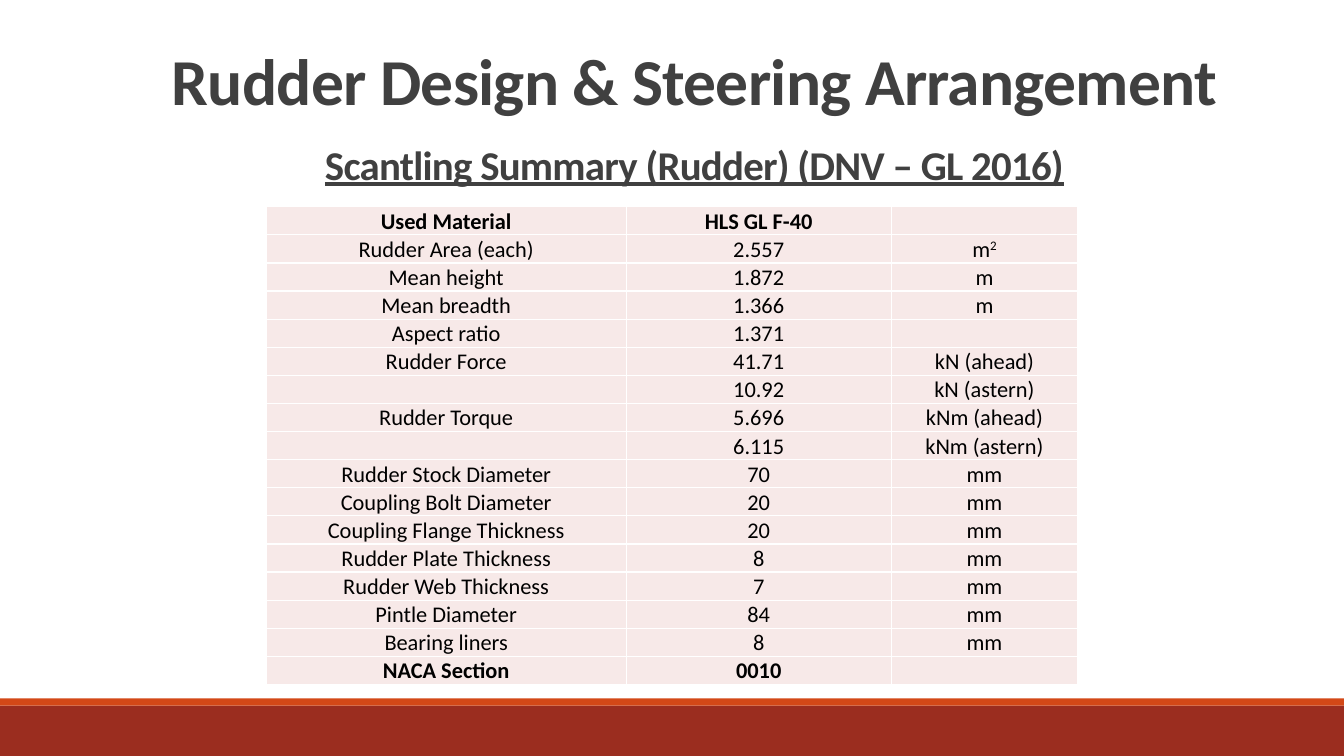
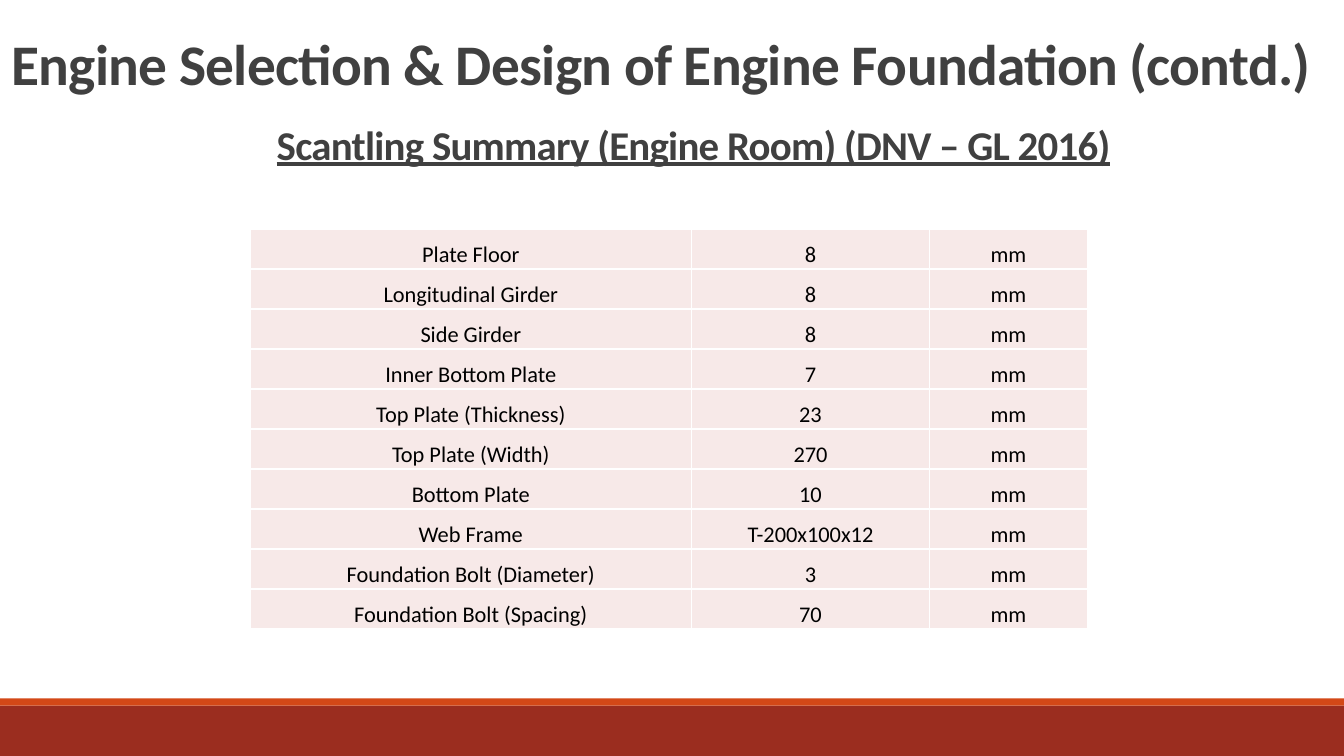
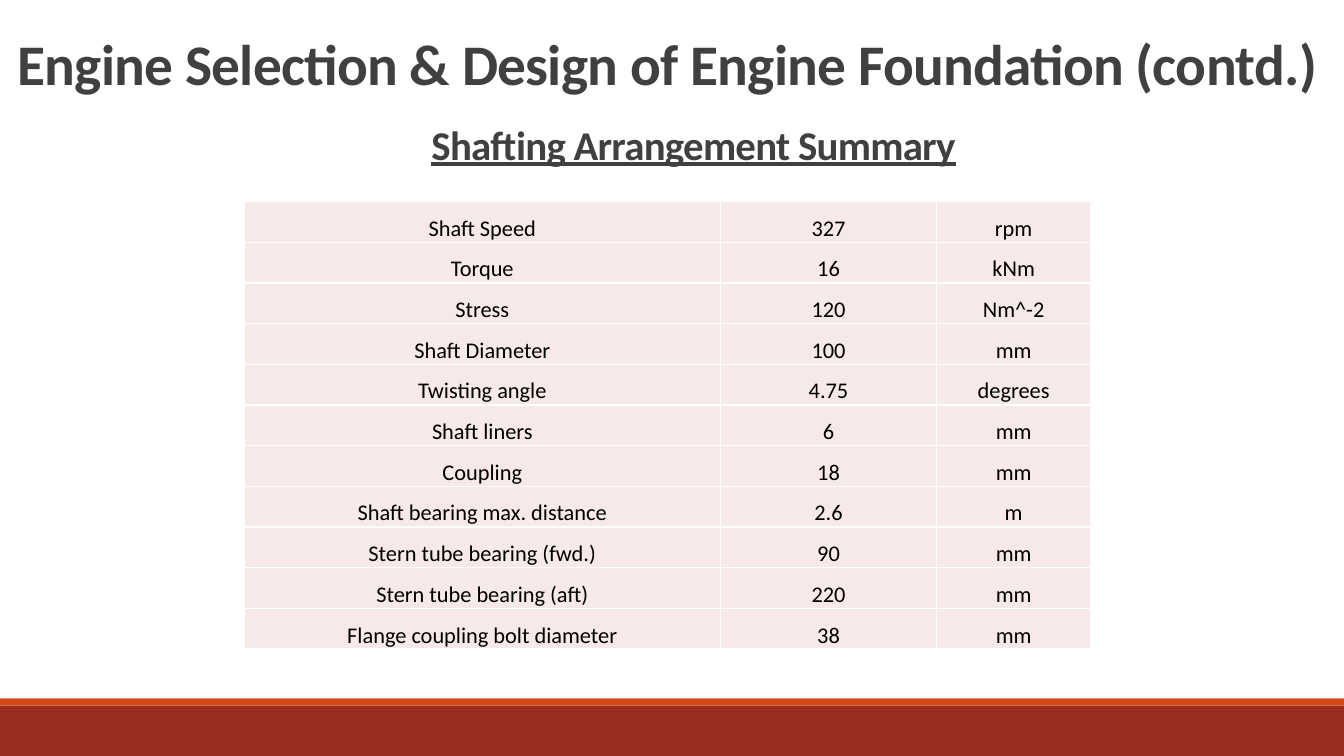
from lxml import etree
from pptx import Presentation
from pptx.dml.color import RGBColor
from pptx.enum.shapes import MSO_SHAPE
from pptx.enum.text import MSO_ANCHOR, PP_ALIGN
from pptx.oxml.ns import qn
from pptx.util import Cm, Pt

RECTANGLE = MSO_SHAPE.RECTANGLE
CENTER = PP_ALIGN.CENTER
BOTTOM = MSO_ANCHOR.BOTTOM

FONT = "Calibri"
COLORS = {
    "band": "9B2D1F",
    "stripe": "D34817",
    "heading": "404040",
    "cell": "F7E9E8",
    "cell_text": "000000",
    "border": "FFFFFF",
}
SLIDE_WIDTH, SLIDE_HEIGHT = 33.87, 19.05
BANDS = [("band", 17.78, 1.27), ("stripe", 17.6, 0.18)]  # colour, top, height
HEADING_HEIGHT = 4.04
CELL_SIZE = 16

ENGINE_TITLE = "Engine Selection & Design of Engine Foundation (contd.)"

# Headings: text, left, top, width, size. Tables: left, top, height, columns.
SLIDES = [
    {
        "title": ("Rudder Design & Steering Arrangement", 3.53, 1.19, 27.94, 46.8),
        "subtitle": ("Scantling Summary (Rudder) (DNV – GL 2016)", 3.53, 3.58, 27.94, 29.2),
        "table": (6.71, 5.21, 12.03, (9.07, 6.68, 4.7)),
        "bold_labels": ("Used Material", "NACA Section"),
        "rows": [
            ("Used Material", "HLS GL F-40", ""),
            ("Rudder Area (each)", "2.557", ("m", "2")),
            ("Mean height", "1.872", "m"),
            ("Mean breadth", "1.366", "m"),
            ("Aspect ratio", "1.371", ""),
            ("Rudder Force", "41.71", "kN (ahead)"),
            ("", "10.92", "kN (astern)"),
            ("Rudder Torque", "5.696", "kNm (ahead)"),
            ("", "6.115", "kNm (astern)"),
            ("Rudder Stock Diameter", "70", "mm"),
            ("Coupling Bolt Diameter", "20", "mm"),
            ("Coupling Flange Thickness", "20", "mm"),
            ("Rudder Plate Thickness", "8", "mm"),
            ("Rudder Web Thickness", "7", "mm"),
            ("Pintle Diameter", "84", "mm"),
            ("Bearing liners", "8", "mm"),
            ("NACA Section", "0010", ""),
        ],
    },
    {
        "title": (ENGINE_TITLE, 0, 0.86, 33.32, 41),
        "subtitle": ("Scantling Summary (Engine Room) (DNV – GL 2016)", 3.51, 3.07, 27.94, 29.2),
        "table": (6.3, 5.77, 10.08, (11.13, 5.99, 3.99)),
        "bold_labels": (),
        "rows": [
            ("Plate Floor", "8", "mm"),
            ("Longitudinal Girder", "8", "mm"),
            ("Side Girder", "8", "mm"),
            ("Inner Bottom Plate", "7", "mm"),
            ("Top Plate (Thickness)", "23", "mm"),
            ("Top Plate (Width)", "270", "mm"),
            ("Bottom Plate", "10", "mm"),
            ("Web Frame", "T-200x100x12", "mm"),
            ("Foundation Bolt (Diameter)", "3", "mm"),
            ("Foundation Bolt (Spacing)", "70", "mm"),
        ],
    },
    {
        "title": (ENGINE_TITLE, 0, 0.86, 33.63, 41),
        "subtitle": ("Shafting Arrangement Summary", 3.51, 3.07, 27.94, 29.2),
        "table": (6.15, 5.08, 11.28, (12.01, 5.44, 3.89)),
        "bold_labels": (),
        "rows": [
            ("Shaft Speed", "327", "rpm"),
            ("Torque", "16", "kNm"),
            ("Stress", "120", "Nm^-2"),
            ("Shaft Diameter", "100", "mm"),
            ("Twisting angle", "4.75", "degrees"),
            ("Shaft liners", "6", "mm"),
            ("Coupling", "18", "mm"),
            ("Shaft bearing max. distance", "2.6", "m"),
            ("Stern tube bearing (fwd.)", "90", "mm"),
            ("Stern tube bearing (aft)", "220", "mm"),
            ("Flange coupling bolt diameter", "38", "mm"),
        ],
    },
]


def add_run(paragraph, text, size, color, bold):
    run = paragraph.add_run()
    run.text = text
    run.font.name = FONT
    run.font.size = Pt(size)
    run.font.bold = bold
    run.font.color.rgb = RGBColor.from_string(COLORS[color])
    return run


def fill_cell(cell, content, bold):
    """Style one cell; content is a text or a (text, superscript) pair."""
    cell.margin_left = cell.margin_right = cell.margin_top = Cm(0.03)
    cell.margin_bottom = 0
    cell.vertical_anchor = BOTTOM
    properties = cell._tc.get_or_add_tcPr()
    for side in ("a:lnL", "a:lnR", "a:lnT", "a:lnB"):
        line = etree.SubElement(properties, qn(side), w=str(Pt(1)))
        line_fill = etree.SubElement(line, qn("a:solidFill"))
        etree.SubElement(line_fill, qn("a:srgbClr"), val=COLORS["border"])
    cell.fill.solid()
    cell.fill.fore_color.rgb = RGBColor.from_string(COLORS["cell"])

    paragraph = cell.text_frame.paragraphs[0]
    paragraph.alignment = CENTER
    text, superscript = content if isinstance(content, tuple) else (content, "")
    if text:
        add_run(paragraph, text, CELL_SIZE, "cell_text", bold)
    else:
        # Keeps an empty cell from stretching its row.
        etree.SubElement(paragraph._p, qn("a:endParaRPr"), sz=str(CELL_SIZE * 100))
    if superscript:
        run = add_run(paragraph, superscript, CELL_SIZE, "cell_text", bold)
        run._r.get_or_add_rPr().set("baseline", "30000")


presentation = Presentation()
presentation.slide_width = Cm(SLIDE_WIDTH)
presentation.slide_height = Cm(SLIDE_HEIGHT)
blank_layout = presentation.slide_layouts[6]

for content in SLIDES:
    slide = presentation.slides.add_slide(blank_layout)

    for color, top, height in BANDS:
        band = slide.shapes.add_shape(RECTANGLE, 0, Cm(top), Cm(SLIDE_WIDTH), Cm(height))
        band.shadow.inherit = False
        band.fill.solid()
        band.fill.fore_color.rgb = RGBColor.from_string(COLORS[color])
        band.line.fill.background()

    for role in ("title", "subtitle"):
        text, left, top, width, size = content[role]
        heading = slide.shapes.add_textbox(Cm(left), Cm(top), Cm(width), Cm(HEADING_HEIGHT))
        heading.text_frame.word_wrap = True
        paragraph = heading.text_frame.paragraphs[0]
        paragraph.alignment = CENTER
        paragraph.line_spacing = 0.85
        run = add_run(paragraph, text, size, "heading", True)
        run.font.underline = role == "subtitle"
        run._r.get_or_add_rPr().set("spc", "-50")

    left, top, height, column_widths = content["table"]
    rows = content["rows"]
    table = slide.shapes.add_table(
        len(rows), len(column_widths), Cm(left), Cm(top), Cm(sum(column_widths)), Cm(height)
    ).table
    table.first_row = False
    table.horz_banding = False
    for column, width in zip(table.columns, column_widths):
        column.width = Cm(width)
    for table_row, row in zip(table.rows, rows):
        for cell, cell_content in zip(table_row.cells, row):
            fill_cell(cell, cell_content, row[0] in content["bold_labels"])

presentation.save("out.pptx")
